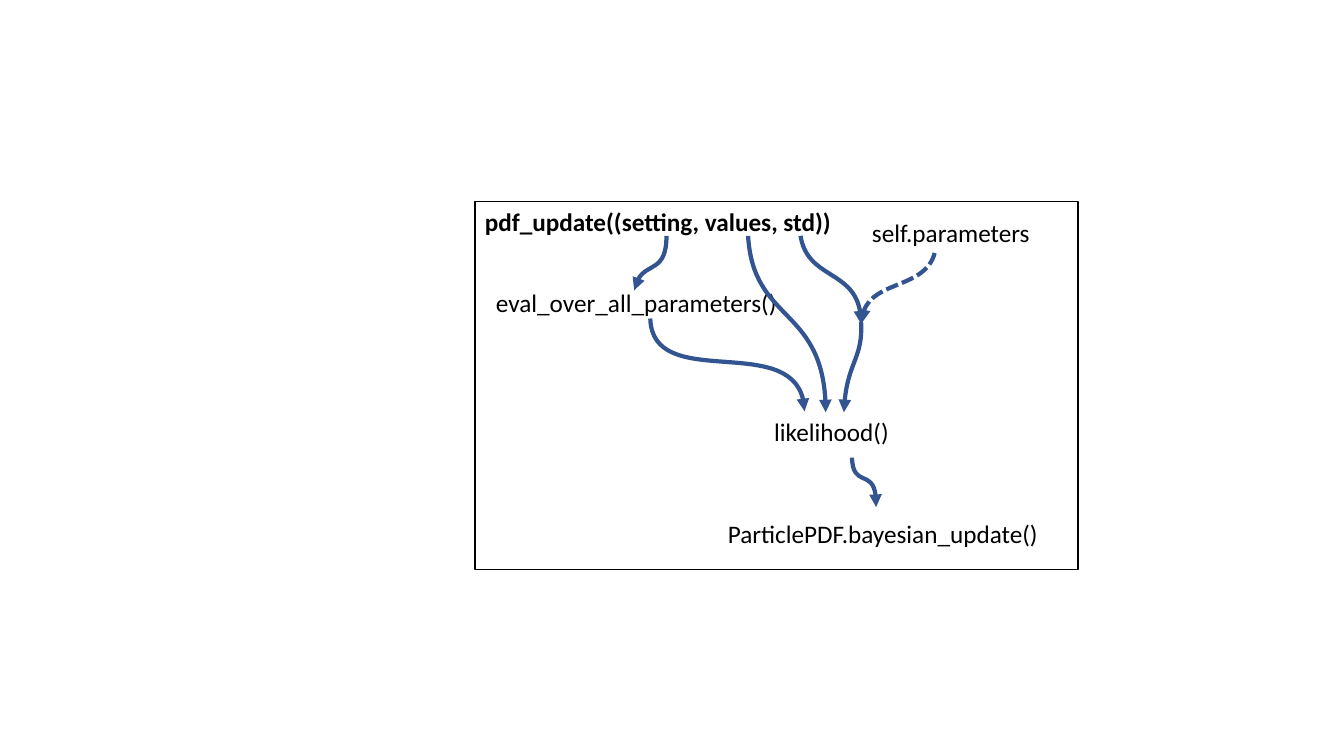
from dataclasses import dataclass

from pptx import Presentation
from pptx.dml.color import RGBColor
from pptx.enum.dml import MSO_LINE
from pptx.enum.shapes import MSO_SHAPE
from pptx.enum.text import MSO_ANCHOR, MSO_AUTO_SIZE, PP_ALIGN
from pptx.oxml.ns import qn
from pptx.shapes.shapetree import GroupShapes
from pptx.text.text import TextFrame
from pptx.util import Inches, Pt
from lxml.etree import SubElement

Point = tuple[float, float]


@dataclass(frozen=True)
class Theme:
    font: str = "Calibri"
    text_size: float = 18
    frame_width: float = 1.25
    arrow_width: float = 3
    black: RGBColor = RGBColor(0x00, 0x00, 0x00)
    blue: RGBColor = RGBColor(0x32, 0x54, 0x91)


@dataclass(frozen=True)
class Label:
    text: str
    left: float
    top: float
    width: float
    height: float = 0.4


@dataclass(frozen=True)
class Arrow:
    start: Point
    first_control: Point
    second_control: Point
    end: Point
    dashed: bool = False


THEME = Theme()

CALLER = Label("pdf_update((setting, values, std))", 4.71, 2, 5.98, 3.65)

LABELS = [
    Label("eval_over_all_parameters()", 4.82, 2.8, 3.11),
    Label("likelihood()", 7.58, 4.08, 1.35),
    Label("ParticlePDF.bayesian_update()", 7.12, 5.09, 3.31),
    Label("self.parameters", 8.55, 2.11, 1.78),
]

ARROWS = [
    Arrow((6.61, 2.34), (6.61, 2.7), (6.35, 2.58), (6.29, 2.88)),
    Arrow((6.45, 3.16), (6.47, 3.89), (7.96, 3.24), (7.98, 4.08)),
    Arrow((7.42, 2.34), (7.47, 3.19), (8.19, 3.03), (8.19, 4.09)),
    Arrow((8.45, 4.54), (8.46, 4.84), (8.7, 4.61), (8.69, 5.03)),
    Arrow((7.94, 2.34), (8.01, 2.77), (8.54, 2.66), (8.54, 3.21)),
    Arrow((9.27, 2.51), (9.18, 2.86), (8.55, 2.77), (8.55, 3.2), dashed=True),
    Arrow((8.54, 3.19), (8.56, 3.55), (8.39, 3.59), (8.37, 4.09)),
]


def set_attributes(target: object, values: dict[str, object]) -> None:
    for name, value in values.items():
        setattr(target, name, value)


def write_text(frame: TextFrame, text: str, bold: bool = False) -> None:
    paragraph = frame.paragraphs[0]
    paragraph.alignment = PP_ALIGN.LEFT
    run = paragraph.add_run()
    run.text = text
    set_attributes(
        run.font,
        {"name": THEME.font, "size": Pt(THEME.text_size), "bold": bold},
    )
    run.font.color.rgb = THEME.black


def bounds(label: Label) -> list[int]:
    return [Inches(n) for n in (label.left, label.top, label.width, label.height)]


def draw_frame(shapes: GroupShapes, label: Label) -> None:
    shape = shapes.add_shape(MSO_SHAPE.RECTANGLE, *bounds(label))
    shape.shadow.inherit = False
    shape.fill.background()
    shape.line.color.rgb = THEME.black
    shape.line.width = Pt(THEME.frame_width)
    shape.text_frame.vertical_anchor = MSO_ANCHOR.TOP
    write_text(shape.text_frame, label.text, bold=True)


def draw_label(shapes: GroupShapes, label: Label) -> None:
    frame = shapes.add_textbox(*bounds(label)).text_frame
    set_attributes(
        frame, {"word_wrap": False, "auto_size": MSO_AUTO_SIZE.SHAPE_TO_FIT_TEXT}
    )
    write_text(frame, label.text)


def draw_arrow(shapes: GroupShapes, arrow: Arrow) -> None:
    """Draw a polyline through the control points and bend it into one Bézier curve."""
    builder = shapes.build_freeform(*(Inches(n) for n in arrow.start))
    corners = (arrow.first_control, arrow.second_control, arrow.end)
    builder.add_line_segments(
        [(Inches(x), Inches(y)) for x, y in corners], close=False
    )
    shape = builder.convert_to_shape()
    segments = list(shape.element.iter(qn("a:lnTo")))
    curve = SubElement(segments[0].getparent(), qn("a:cubicBezTo"))
    for segment in segments:
        curve.append(segment[0])
        segment.getparent().remove(segment)

    shape.shadow.inherit = False
    shape.fill.background()
    shape.line.color.rgb = THEME.blue
    shape.line.width = Pt(THEME.arrow_width)
    if arrow.dashed:
        shape.line.dash_style = MSO_LINE.SQUARE_DOT
    outline = shape.element.spPr.find(qn("a:ln"))
    SubElement(outline, qn("a:tailEnd"), type="triangle")


def main() -> None:
    presentation = Presentation()
    set_attributes(
        presentation, {"slide_width": Inches(13.33), "slide_height": Inches(7.5)}
    )
    slide = presentation.slides.add_slide(presentation.slide_layouts[6])
    shapes = slide.shapes.add_group_shape().shapes
    draw_frame(shapes, CALLER)
    for label in LABELS:
        draw_label(shapes, label)
    for arrow in ARROWS:
        draw_arrow(shapes, arrow)
    presentation.save("out.pptx")


if __name__ == "__main__":
    main()
